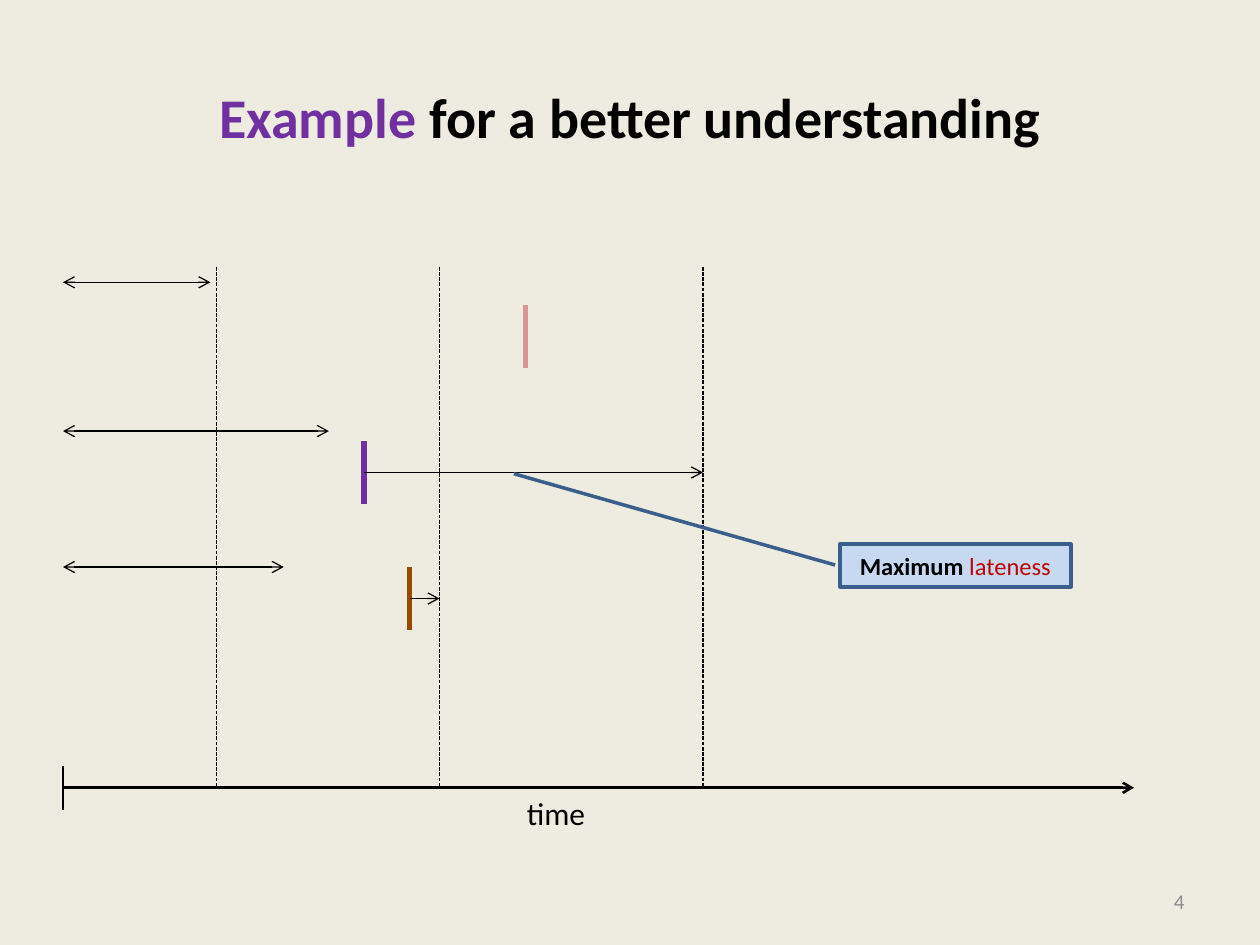
import pptx
import pptx.dml.color
import pptx.enum.dml
import pptx.enum.shapes
import pptx.enum.text
import pptx.oxml
import pptx.oxml.ns
import pptx.util

Cm = pptx.util.Cm
Pt = pptx.util.Pt
RGBColor = pptx.dml.color.RGBColor
ALIGN = pptx.enum.text.PP_ALIGN
ANCHOR = pptx.enum.text.MSO_ANCHOR

FONT = "Calibri"
BLACK = RGBColor(0x00, 0x00, 0x00)
GRAY = RGBColor(0x8C, 0x8C, 0x8C)
CREAM = RGBColor(0xEE, 0xEC, 0xE1)
PURPLE = RGBColor(0x70, 0x30, 0xA0)
PINK = RGBColor(0xD9, 0x96, 0x94)
BROWN = RGBColor(0x98, 0x48, 0x07)
RED = RGBColor(0xC0, 0x00, 0x00)
PALE_BLUE = RGBColor(0xC6, 0xD9, 0xF1)
BLUE = RGBColor(0x3A, 0x5F, 0x8C)

# Content: runs are (text, colour, bold); lengths are in cm
TITLE = [("Example", PURPLE, True), (" for a better understanding", BLACK, True)]
CALLOUT = [("Maximum", BLACK, True), (" lateness", RED, False)]
TIME_LABEL = [("time", BLACK, False)]
PAGE_NUMBER = [("4", GRAY, False)]

START, AXIS_END, AXIS_Y = 1.27, 22.86, 15.88
FINISH_TOP = 5.38
FINISH_TIMES = [4.37, 8.86, 14.17]
DEADLINE_HEIGHT = 1.27
JOBS = [
    # duration end, duration y, deadline x, deadline top, colour, finish if late
    (4.24, 5.69, 10.59, 6.15, PINK, None),
    (6.63, 8.69, 7.34, 8.89, PURPLE, FINISH_TIMES[2]),
    (5.72, 11.43, 8.26, 11.43, BROWN, FINISH_TIMES[1]),
]
CALLOUT_ADJUSTMENTS = [0.49, -0.02, -1.65, -1.41]


def add_line(page, start, end, width=0.75, color=BLACK, dashed=False, arrows=()):
    line = page.shapes.add_connector(
        pptx.enum.shapes.MSO_CONNECTOR.STRAIGHT, *map(Cm, start + end))
    line.line.color.rgb = color
    line.line.width = Pt(width)
    if dashed:
        line.line.dash_style = pptx.enum.dml.MSO_LINE.SQUARE_DOT
    outline = line.line._get_or_add_ln()
    for tag in arrows:
        arrow = pptx.oxml.parse_xml(
            f'<a:{tag} {pptx.oxml.ns.nsdecls("a")} type="arrow"/>')
        outline.append(arrow)
    line._element.spPr.append(pptx.oxml.parse_xml(
        f'<a:effectLst {pptx.oxml.ns.nsdecls("a")}/>'))


def write(shape, runs, size, align, anchor=ANCHOR.MIDDLE, wrap=True):
    frame = shape.text_frame
    frame.word_wrap = wrap
    frame.vertical_anchor = anchor
    para = frame.paragraphs[0]
    para.alignment = align
    for text, color, bold in runs:
        span = para.add_run()
        span.text = text
        span.font.name = FONT
        span.font.size = Pt(size)
        span.font.bold = bold
        span.font.color.rgb = color


def add_text(page, place, *args, **options):
    write(page.shapes.add_textbox(*map(Cm, place)), *args, **options)


def main():
    deck = pptx.Presentation()
    deck.slide_width, deck.slide_height = Cm(25.4), Cm(19.05)
    page = deck.slides.add_slide(deck.slide_layouts[6])
    page.background.fill.solid()
    page.background.fill.fore_color.rgb = CREAM

    # Title and page number
    add_text(page, (1.27, 0.76, 22.86, 3.18), TITLE, 32, ALIGN.CENTER)
    add_text(page, (18.2, 17.66, 5.93, 1.01), PAGE_NUMBER, 12, ALIGN.RIGHT)

    # Time axis with its origin tick
    add_line(page, (START, AXIS_Y), (AXIS_END, AXIS_Y), 1.5, arrows=["tailEnd"])
    add_line(page, (START, 15.44), (START, 16.33), 1.5)
    add_text(page, (10.37, AXIS_Y, 1.7, 1.03), TIME_LABEL, 18, ALIGN.LEFT,
             anchor=ANCHOR.TOP, wrap=False)

    # Finish times
    for x in FINISH_TIMES:
        add_line(page, (x, FINISH_TOP), (x, AXIS_Y), dashed=True)

    # Job durations, deadlines and lateness
    for end, y, deadline, top, color, finish in JOBS:
        add_line(page, (START, y), (end, y), arrows=["headEnd", "tailEnd"])
        add_line(page, (deadline, top), (deadline, top + DEADLINE_HEIGHT), 3, color)
        if finish is not None:
            middle = top + DEADLINE_HEIGHT / 2
            add_line(page, (deadline, middle), (finish, middle), arrows=["tailEnd"])

    # Callout pointing at the largest lateness
    callout = page.shapes.add_shape(
        pptx.enum.shapes.MSO_SHAPE.LINE_CALLOUT_1,
        Cm(16.93), Cm(10.97), Cm(4.66), Cm(0.86))
    callout.shadow.inherit = False
    for index, value in enumerate(CALLOUT_ADJUSTMENTS):
        callout.adjustments[index] = value
    callout.fill.solid()
    callout.fill.fore_color.rgb = PALE_BLUE
    callout.line.color.rgb = BLUE
    callout.line.width = Pt(2)
    write(callout, CALLOUT, 14, ALIGN.CENTER)

    deck.save("out.pptx")


if __name__ == "__main__":
    main()
